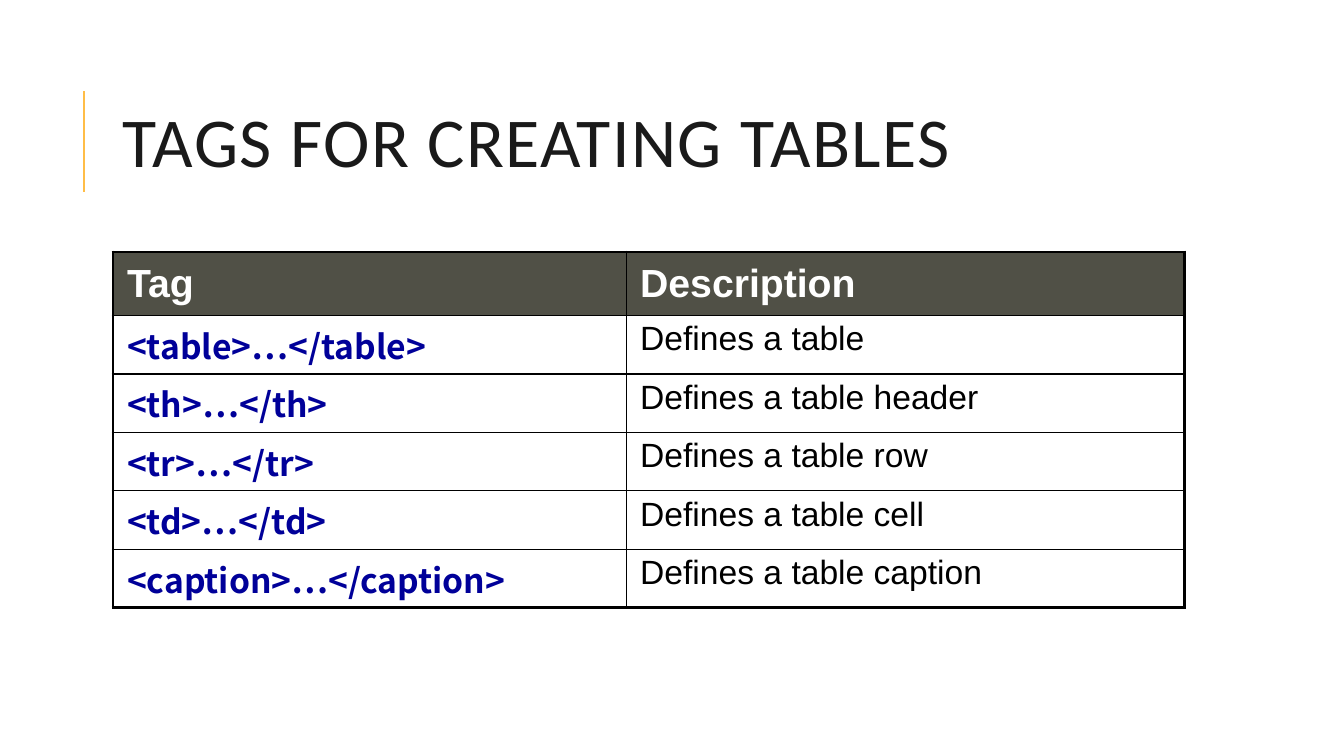
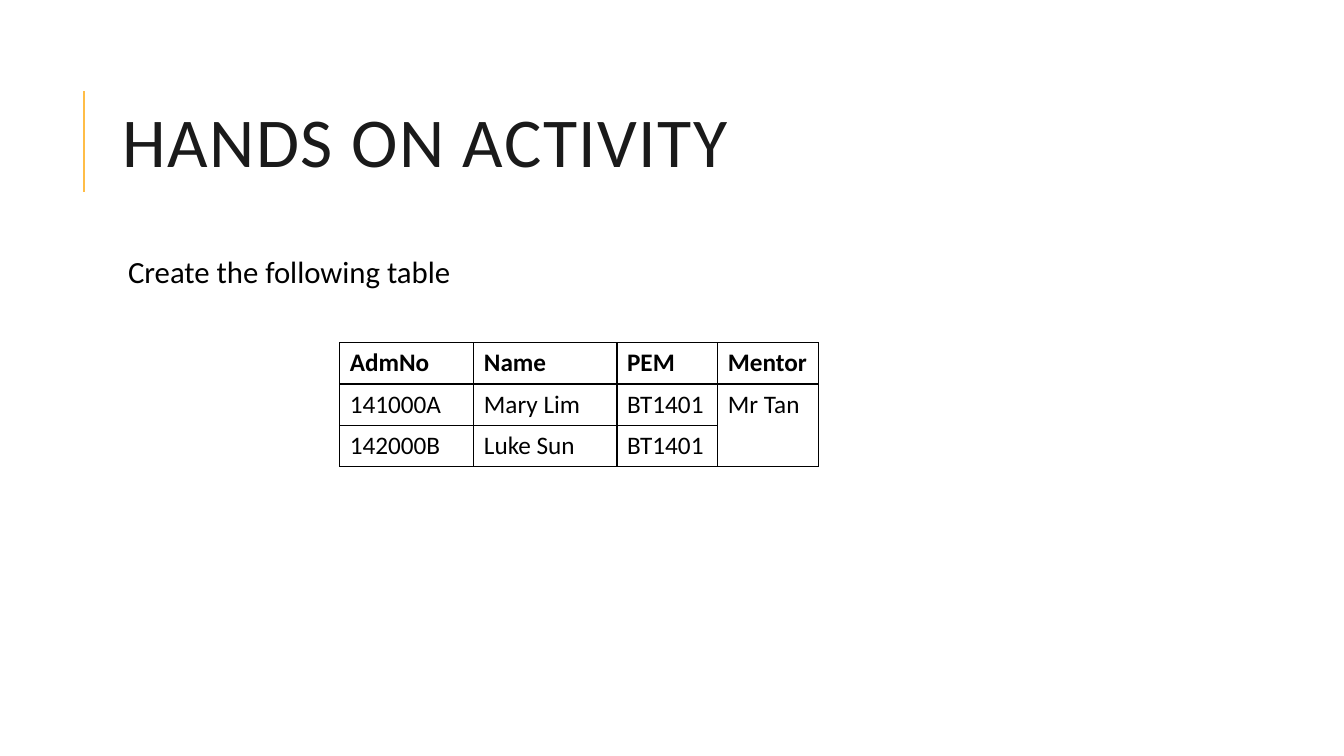
from lxml.etree import SubElement
from pptx import Presentation
from pptx.dml.color import RGBColor
from pptx.enum.shapes import MSO_CONNECTOR
from pptx.enum.text import MSO_ANCHOR
from pptx.oxml.ns import qn
from pptx.util import Inches, Pt

# Content
TAGS_TITLE = "TAGS FOR CREATING TABLES"
TAGS = [
    ("Tag", "Description"),
    ("<table>…</table>", "Defines a table"),
    ("<th>…</th>", "Defines a table header"),
    ("<tr>…</tr>", "Defines a table row"),
    ("<td>…</td>", "Defines a table cell"),
    ("<caption>…</caption>", "Defines a table caption"),
]
ACTIVITY_TITLE = "HANDS ON ACTIVITY"
ACTIVITY_TASK = "Create the following table"
STUDENTS = [
    ("AdmNo", "Name", "PEM", "Mentor"),
    ("141000A", "Mary Lim", "BT1401", "Mr Tan"),
    ("142000B", "Luke Sun", "BT1401", ""),
]

# Shared look
COLORS = {"accent": "FFBD47", "title": "1A1A1A", "text": "000000",
          "header": "505046", "white": "FFFFFF", "tag": "000099"}
LEFT, WIDTH, BODY_TOP = 1.12, 10.63, 2.5
THIN, THICK = 1, 2.25


def rgb(name):
    return RGBColor.from_string(COLORS[name])


def add_run(p, text, size, color="text", font="Calibri", bold=False):
    r = p.add_run()
    r.text = text
    r.font.size, r.font.name, r.font.bold = Pt(size), font, bold
    r.font.color.rgb = rgb(color)
    return r


def add_text_box(s, top, height):
    tf = s.shapes.add_textbox(Inches(LEFT), Inches(top), Inches(WIDTH), Inches(height)).text_frame
    tf.word_wrap = True
    return tf


def add_titled_slide(prs, title):
    s = prs.slides.add_slide(prs.slide_layouts[6])
    # Accent rule beside the title
    rule = s.shapes.add_connector(MSO_CONNECTOR.STRAIGHT, Inches(0.83), Inches(1.9),
                                  Inches(0.83), Inches(0.9))
    rule.line.color.rgb = rgb("accent")
    rule.line.width = Pt(1.5)
    SubElement(rule._element.spPr, qn("a:effectLst"))
    # Title
    tf = add_text_box(s, 0.64, 1.64)
    tf.vertical_anchor = MSO_ANCHOR.MIDDLE
    p = tf.paragraphs[0]
    p.line_spacing = 0.8
    r = add_run(p, title, 50, "title")
    r.font._element.set("spc", "100")
    return s


def set_borders(cell, widths):
    tc_pr = cell._tc.get_or_add_tcPr()
    for side, width in zip("LRTB", widths):
        ln = SubElement(tc_pr, qn(f"a:ln{side}"), w=str(Pt(width)))
        fill = SubElement(ln, qn("a:solidFill"))
        SubElement(fill, qn("a:srgbClr"), val=COLORS["text"])


def add_grid(s, data, left, top, cols, rows, outer, style, inset=0.1):
    """Add a table; style(row, col) gives the run's look."""
    table = s.shapes.add_table(len(rows), len(cols), Inches(left), Inches(top),
                               Inches(sum(cols)), Inches(sum(rows))).table
    table.first_row = table.horz_banding = False
    for col, width in zip(table.columns, cols):
        col.width = Inches(width)
    for row, height in zip(table.rows, rows):
        row.height = Inches(height)
    for i, texts in enumerate(data):
        for j, text in enumerate(texts):
            cell = table.cell(i, j)
            cell.margin_left = cell.margin_right = Inches(inset)
            at_edge = (j == 0, j == len(cols) - 1, i == 0, i == len(rows) - 1)
            set_borders(cell, [outer if edge else THIN for edge in at_edge])
            cell.fill.background()
            if text:
                add_run(cell.text_frame.paragraphs[0], text, **style(i, j))
    return table


def tag_style(i, j):
    if i == 0:
        return dict(size=28, font="Arial", color="white", bold=True)
    if j == 0:
        return dict(size=24, font="Noto Sans CJK KR", color="tag", bold=True)
    return dict(size=24, font="Arial")


def student_style(i, j):
    return dict(size=18, bold=i == 0)


def build_tags(prs):
    s = add_titled_slide(prs, TAGS_TITLE)
    table = add_grid(s, TAGS, LEFT, BODY_TOP, [5.09, 5.54], [0.63] + [0.58] * 5,
                     THICK, tag_style, inset=0.14)
    for cell in table.rows[0].cells:
        cell.fill.solid()
        cell.fill.fore_color.rgb = rgb("header")
        cell.vertical_anchor = MSO_ANCHOR.MIDDLE


def build_activity(prs):
    s = add_titled_slide(prs, ACTIVITY_TITLE)
    # Task
    tf = add_text_box(s, BODY_TOP, 4.4)
    tf.margin_left, tf.margin_right = Inches(0.15), Inches(0.05)
    p = tf.paragraphs[0]
    p.line_spacing, p.space_before, p.space_after = 0.9, Pt(12), Pt(2)
    add_run(p, ACTIVITY_TASK, 22)
    # Table with one mentor for both students
    table = add_grid(s, STUDENTS, 3.37, 3.4, [1.33, 1.42, 1, 1], [0.41] * 3,
                     THIN, student_style)
    table.cell(1, 3).merge(table.cell(2, 3))


def main():
    prs = Presentation()
    prs.slide_width, prs.slide_height = Inches(13.33), Inches(7.5)
    build_tags(prs)
    build_activity(prs)
    prs.save("out.pptx")


if __name__ == "__main__":
    main()
